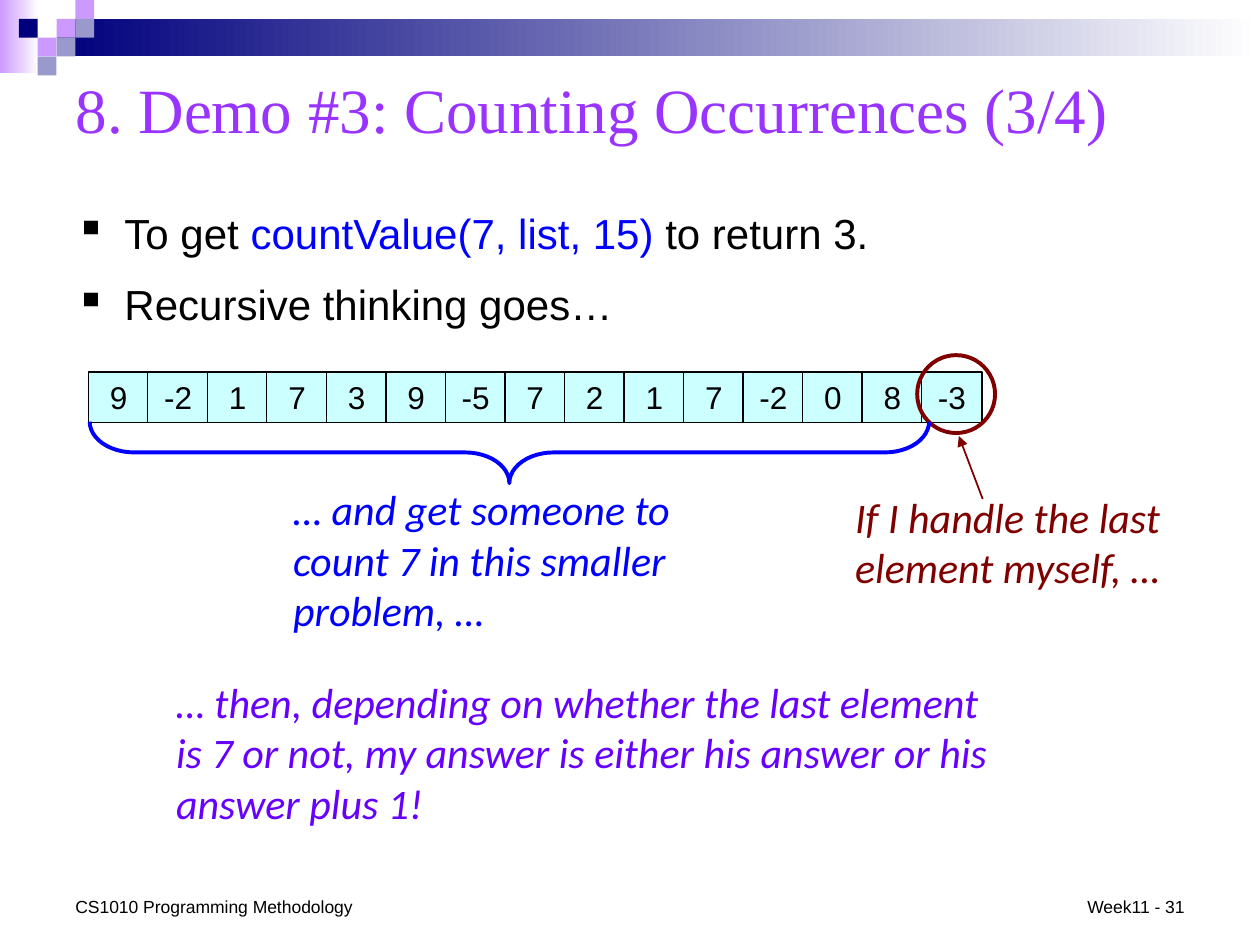
from dataclasses import dataclass

import pptx
import pptx.dml.color
import pptx.enum.shapes
import pptx.enum.text
import pptx.oxml
import pptx.oxml.ns
import pptx.util
from lxml import etree

Cm, Pt = pptx.util.Cm, pptx.util.Pt
SHAPES = pptx.enum.shapes.MSO_SHAPE
ALIGN = pptx.enum.text.PP_ALIGN
ANCHOR = pptx.enum.text.MSO_ANCHOR

BLACK, WHITE, NAVY, LILAC, GREY_BLUE = "000000", "FFFFFF", "00007D", "CC99FF", "9999CC"
BLUE, MAROON, PURPLE, CYAN = "0000FF", "800000", "6600FF", "CCFFFF"


@dataclass
class Box:
    """Position and size in centimetres."""
    left: float
    top: float
    width: float
    height: float

    def lengths(self) -> tuple:
        return Cm(self.left), Cm(self.top), Cm(self.width), Cm(self.height)


@dataclass
class Label:
    box: Box
    text: str
    size: float
    font: str
    color: str
    italic: bool = False
    align: object = ALIGN.LEFT
    anchor: object = ANCHOR.TOP


def rgb(color: str):
    return pptx.dml.color.RGBColor.from_string(color)


def format_runs(paragraph, size: float, font: str, color: str, italic: bool = False) -> None:
    for run in paragraph.runs:
        run.font.size = Pt(size)
        run.font.name = font
        run.font.italic = italic
        run.font.color.rgb = rgb(color)


def add_shape(slide, kind, box: Box, fill: str = "", line: str = "", weight: float = 0.75):
    shape = slide.shapes.add_shape(kind, *box.lengths())
    shape.shadow.inherit = False
    if fill:
        shape.fill.solid()
        shape.fill.fore_color.rgb = rgb(fill)
    else:
        shape.fill.background()
    if line:
        shape.line.color.rgb = rgb(line)
        shape.line.width = Pt(weight)
    else:
        shape.line.fill.background()
    return shape


def add_fading_bar(slide, box: Box, color: str) -> None:
    shape = add_shape(slide, SHAPES.RECTANGLE, box, color)
    shape.fill.gradient()
    shape.fill.gradient_angle = 0
    for stop, stop_color in zip(shape.fill.gradient_stops, (color, WHITE)):
        stop.color.rgb = rgb(stop_color)


def add_label(slide, label: Label) -> None:
    shape = slide.shapes.add_textbox(*label.box.lengths())
    text_frame = shape.text_frame
    text_frame.word_wrap = True
    text_frame.vertical_anchor = label.anchor
    text_frame.text = label.text
    paragraph = text_frame.paragraphs[0]
    paragraph.alignment = label.align
    format_runs(paragraph, label.size, label.font, label.color, label.italic)


def add_arrow(slide, start: tuple, end: tuple, color: str) -> None:
    arrow = slide.shapes.add_connector(
        pptx.enum.shapes.MSO_CONNECTOR.STRAIGHT, *map(Cm, start + end))
    arrow.line.color.rgb = rgb(color)
    arrow.line.width = Pt(1)
    qn = pptx.oxml.ns.qn
    etree.SubElement(arrow.line._get_or_add_ln(), qn("a:tailEnd"), type="triangle")
    etree.SubElement(arrow._element.spPr, qn("a:effectLst"))


def add_bullets(slide, box: Box, items: list) -> None:
    text_frame = slide.shapes.add_textbox(*box.lengths()).text_frame
    text_frame.word_wrap = True
    for index, pieces in enumerate(items):
        paragraph = text_frame.add_paragraph() if index else text_frame.paragraphs[0]
        properties = paragraph._p.get_or_add_pPr()
        properties.set("marL", str(Cm(0.99)))
        properties.set("indent", str(-Cm(0.99)))
        etree.SubElement(properties, pptx.oxml.ns.qn("a:buChar"), char="▪")
        if index:
            paragraph.space_before = Pt(12)
        for text, _ in pieces:
            paragraph.add_run().text = text
        format_runs(paragraph, 24, "Arial", BLACK)
        for run, (_, color) in zip(paragraph.runs, pieces):
            run.font.color.rgb = rgb(color)


def add_banner(slide) -> None:
    add_fading_bar(slide, Box(0, 0, 0.79, 1.47), LILAC)
    add_fading_bar(slide, Box(1.14, 0.38, 24.26, 0.76), NAVY)
    side = 0.38
    squares = [(3, 1, LILAC), (4, 0, LILAC), (4, 1, GREY_BLUE), (2, 2, LILAC),
               (1, 1, NAVY), (3, 2, GREY_BLUE), (2, 3, GREY_BLUE)]
    for column, row, color in squares:
        add_shape(slide, SHAPES.RECTANGLE, Box(column * side, row * side, side, side), color)


def add_number_list(slide, numbers: list) -> None:
    for index, number in enumerate(numbers):
        box = Box(1.78 + 1.2 * index, 7.5, 1.22, 1.02)
        cell = add_shape(slide, SHAPES.RECTANGLE, box, CYAN, BLACK)
        cell.text_frame.text = str(number)
        paragraph = cell.text_frame.paragraphs[0]
        paragraph.alignment = ALIGN.CENTER
        format_runs(paragraph, 18, "Arial", BLACK)


def main() -> None:
    presentation = pptx.Presentation()
    presentation.slide_width, presentation.slide_height = Cm(25.4), Cm(19.05)
    slide = presentation.slides.add_slide(presentation.slide_layouts[5])

    add_banner(slide)

    # Title
    title = slide.shapes.title
    title.left, title.top, title.width, title.height = Box(1.27, 1.07, 22.86, 2.24).lengths()
    title.text_frame.text = "8. Demo #3: Counting Occurrences (3/4)"
    title.text_frame.vertical_anchor = ANCHOR.MIDDLE
    title.text_frame.paragraphs[0].alignment = ALIGN.LEFT
    format_runs(title.text_frame.paragraphs[0], 36, "Times New Roman", "9933FF")

    # Goal and list of numbers
    add_bullets(slide, Box(1.27, 4.06, 19.94, 2.74), [
        [("To get ", BLACK), ("countValue(7, list, 15)", BLUE), (" to return 3.", BLACK)],
        [("Recursive thinking goes…", BLACK)],
    ])
    add_number_list(slide, [9, -2, 1, 7, 3, 9, -5, 7, 2, 1, 7, -2, 0, 8, -3])

    # Last element
    add_label(slide, Label(Box(16.99, 9.78, 7.09, 2.31),
                           "If I handle the last element myself, …",
                           24, "Calibri", MAROON, italic=True))
    add_arrow(slide, (19.81, 10.06), (19.33, 8.79), MAROON)
    add_shape(slide, SHAPES.OVAL, Box(18.49, 7.16, 1.57, 1.57), line=MAROON, weight=2.25)

    # Smaller problem
    brace = add_shape(slide, SHAPES.LEFT_BRACE, Box(9.65, 0.66, 1.24, 16.92),
                      line=BLUE, weight=2.25)
    brace.rotation = 270
    brace.adjustments[0] = 0.72
    add_label(slide, Label(Box(5.66, 9.63, 9.96, 3.33),
                           "… and get someone to count 7 in this smaller problem, …",
                           24, "Calibri", BLUE, italic=True))

    # Conclusion
    add_label(slide, Label(Box(3.3, 13.51, 16.87, 3.33),
                           "… then, depending on whether the last element is 7 or not, "
                           "my answer is either his answer or his answer plus 1!",
                           24, "Calibri", PURPLE, italic=True))

    # Footer
    add_label(slide, Label(Box(1.27, 17.93, 6.15, 0.69), "CS1010 Programming Methodology",
                           10, "Arial", BLACK, anchor=ANCHOR.BOTTOM))
    add_label(slide, Label(Box(21.62, 17.93, 2.51, 0.69), "Week11 - 31",
                           10, "Arial", BLACK, align=ALIGN.RIGHT, anchor=ANCHOR.BOTTOM))

    presentation.save("out.pptx")


if __name__ == "__main__":
    main()
